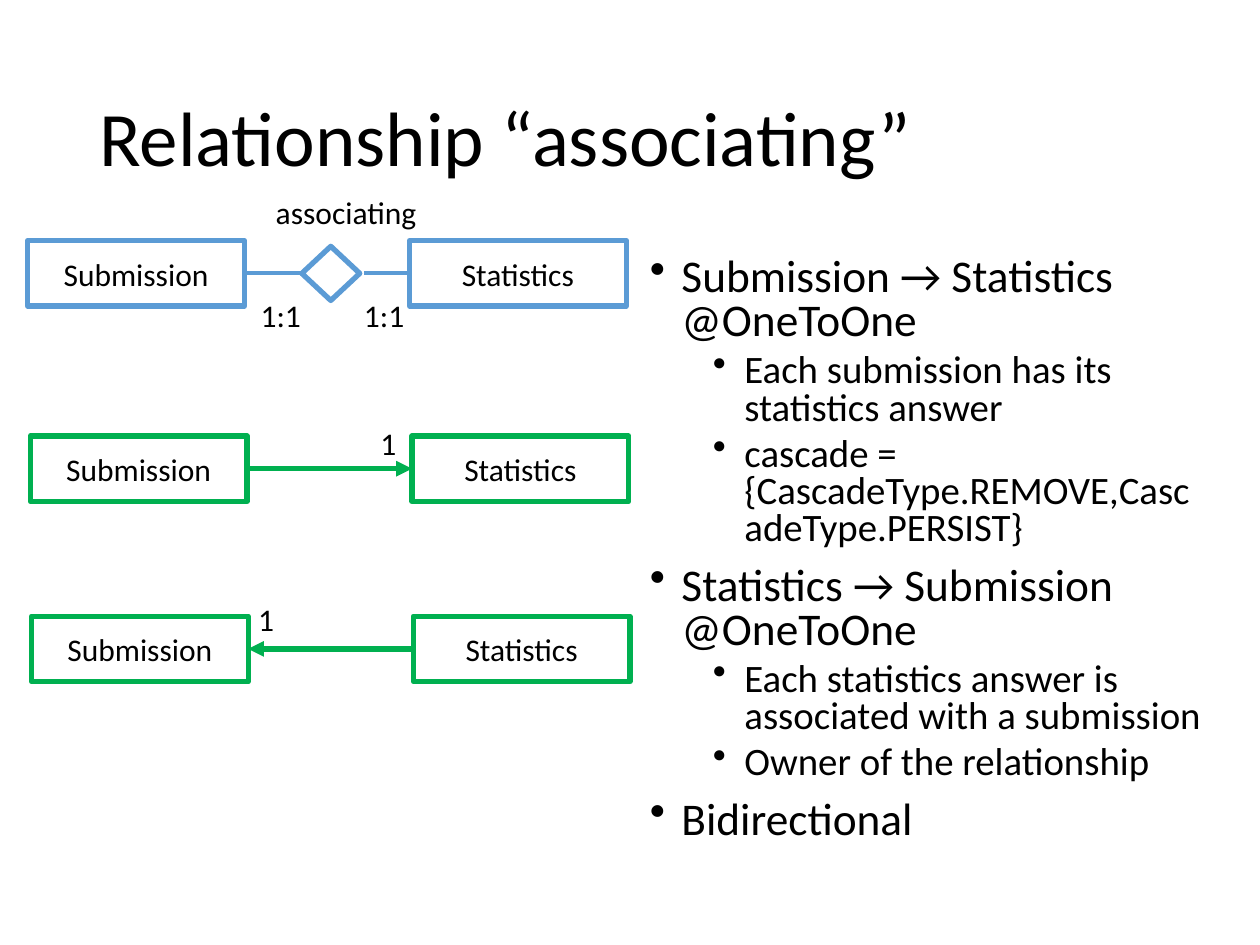
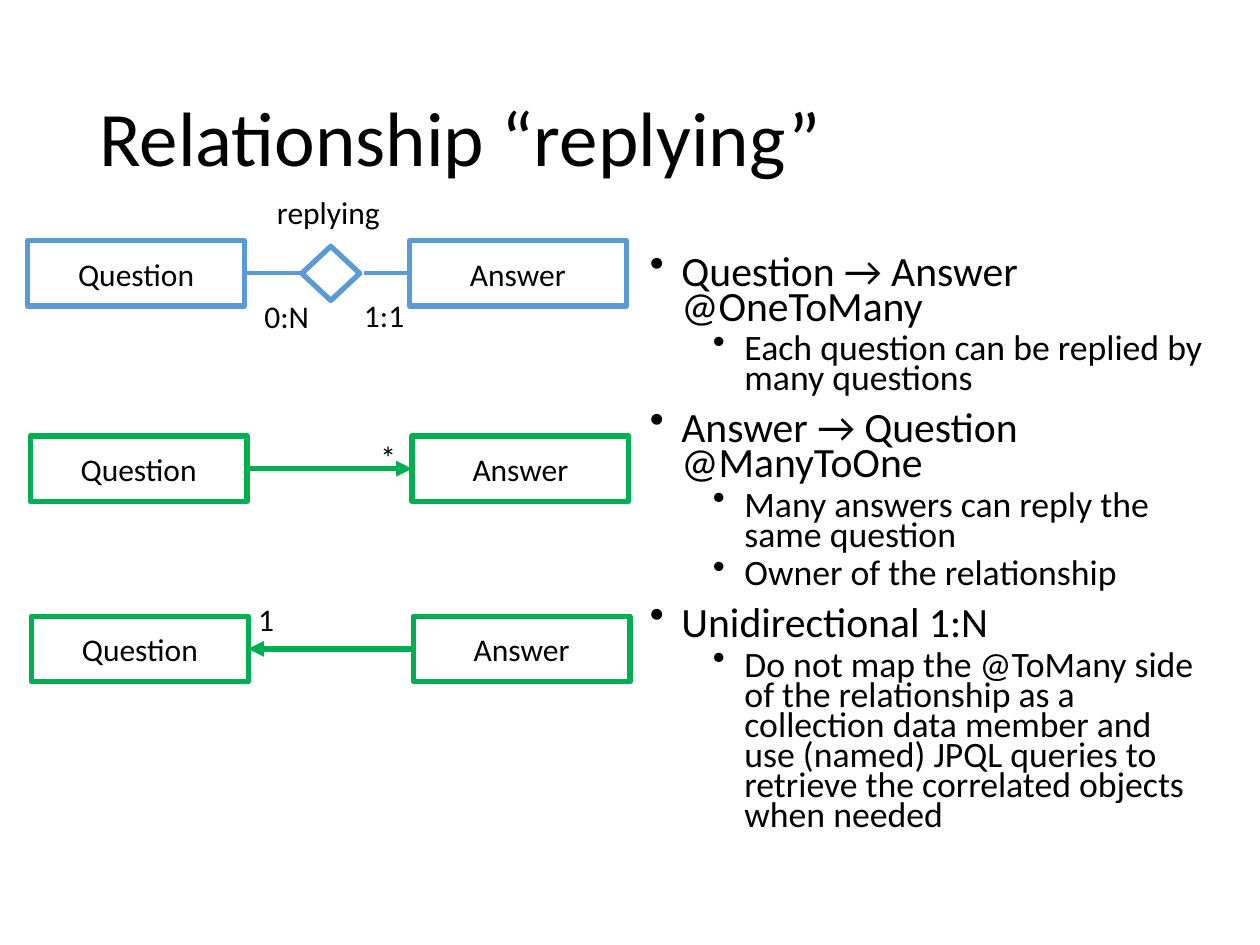
"""Build two slides that map entity relationships to annotated associations."""
from dataclasses import dataclass
from typing import NamedTuple

from lxml import etree
from pptx import Presentation, util as u
from pptx.dml.color import RGBColor
from pptx.enum import shapes, text
from pptx.oxml.ns import qn

CELL = 0.25
COLS, ROWS = 40, 30
FONT = "Calibri"
BLACK, WHITE, BLUE, GREEN = "000000", "FFFFFF", "5B9BD5", "00B050"
BOX_W, BOX_H, PAIR_STEP = 6.88, 2.08, 12.12
LABEL_H, LABEL_SIZE = 1.6, 18
LEVEL_SIZES = (28, 24)
LEVEL_INDENTS = (1, 3)
LEVEL_SPACING = (10, 5)


class Area(NamedTuple):
    """A rectangle in grid columns and rows."""
    x: float
    y: float
    w: float
    h: float


class Label(NamedTuple):
    """A short text with its place and width on the grid."""
    words: str
    x: float
    y: float
    w: float


class Bullet(NamedTuple):
    """A bullet and its outline level."""
    words: str
    level: int = 0


@dataclass
class Relationship:
    """What one slide says about two entities."""
    title: str
    source: str
    target: str
    labels: list[Label]
    bullets: list[Bullet]
    scale: float
    spacing: float


TITLE = Area(2.76, 1.6, 34.48, 5.8)
BODY = Area(20.24, 8, 18.44, 19.04)
DIAMOND = Area(9.64, 7.76, 1.72, 1.84)
ENTITY_ROW, FORWARD_ROW, BACKWARD_ROW = (0.88, 7.64), (0.96, 13.84), (1, 19.56)
DIAMOND_LEFT, DIAMOND_RIGHT = 9.6, 11.56
TARGET_CARDINALITY = Label("1:1", 11.16, 9.2, 2.12)
BACKWARD_CARDINALITY = Label("1", 7.8, 18.84, 1.32)

RELATIONSHIPS = [
    Relationship(
        "Relationship “associating”", "Submission", "Statistics",
        [Label("associating", 8.36, 5.92, 5.32), Label("1:1", 7.88, 9.2, 2.12),
         Label("1", 11.68, 13.28, 1.32)],
        [Bullet("Submission → Statistics @OneToOne"),
         Bullet("Each submission has its statistics answer", 1),
         Bullet("cascade = {CascadeType.REMOVE,CascadeType.PERSIST}", 1),
         Bullet("Statistics → Submission @OneToOne"),
         Bullet("Each statistics answer is associated with a submission", 1),
         Bullet("Owner of the relationship", 1),
         Bullet("Bidirectional")],
        scale=0.925, spacing=0.8),
    Relationship(
        "Relationship “replying”", "Question", "Answer",
        [Label("replying", 8.4, 5.92, 4.12), Label("0:N", 8, 9.24, 2.24),
         Label("*", 11.68, 13.72, 1.32)],
        [Bullet("Question → Answer @OneToMany"),
         Bullet("Each question can be replied by many questions", 1),
         Bullet("Answer → Question @ManyToOne"),
         Bullet("Many answers can reply the same question", 1),
         Bullet("Owner of the relationship", 1),
         Bullet("Unidirectional 1:N"),
         Bullet("Do not map the @ToMany side of the relationship as a collection "
                "data member and use (named) JPQL queries to retrieve the "
                "correlated objects when needed", 1)],
        scale=0.85, spacing=0.7),
]


def grid(cells: float) -> int:
    """Turn grid cells into a length."""
    return u.Inches(round(cells * CELL, 4))


def place(area: Area) -> list[int]:
    """Turn a grid area into left, top, width and height."""
    return [grid(v) for v in area]


def color(value: str) -> RGBColor:
    """Turn a hex string into a colour."""
    return RGBColor.from_string(value)


def add_run(p, words: str, size: float) -> None:
    """Add a run in the shared font."""
    r = p.add_run()
    r.text = words
    r.font.name, r.font.size = FONT, u.Pt(size)
    r.font.color.rgb = color(BLACK)


def add_figure(s, kind, area: Area, line: str, fill: str | None = None):
    """Draw an outlined preset shape."""
    sp = s.shapes.add_shape(kind, *place(area))
    sp.shadow.inherit = False
    if fill:
        sp.fill.solid()
        sp.fill.fore_color.rgb = color(fill)
    else:
        sp.fill.background()
    sp.line.color.rgb, sp.line.width = color(line), u.Pt(3)
    return sp


def add_pair(s, row: tuple[float, float], rel: Relationship, line: str,
             fill: str | None = None) -> tuple[float, float, float]:
    """Draw both entities and return the gap's left, right and middle."""
    x, y = row
    for i, name in enumerate((rel.source, rel.target)):
        area = Area(x + i * PAIR_STEP, y, BOX_W, BOX_H)
        sp = add_figure(s, shapes.MSO_SHAPE.RECTANGLE, area, line, fill)
        tf = sp.text_frame
        tf.vertical_anchor = text.MSO_ANCHOR.MIDDLE
        p = tf.paragraphs[0]
        p.alignment = text.PP_ALIGN.CENTER
        add_run(p, name, LABEL_SIZE)
    return x + BOX_W, x + PAIR_STEP, y + BOX_H / 2


def add_link(s, start: float, end: float, y: float, line: str, width: float,
             arrow: bool = False) -> None:
    """Draw a horizontal line, with an arrowhead at its end if asked."""
    c = s.shapes.add_connector(shapes.MSO_CONNECTOR.STRAIGHT,
                               grid(start), grid(y), grid(end), grid(y))
    c.line.color.rgb, c.line.width = color(line), u.Pt(width)
    if arrow:
        etree.SubElement(c.line._get_or_add_ln(), qn("a:tailEnd"), type="triangle")
    etree.SubElement(c._element.spPr, qn("a:effectLst"))


def add_label(s, label: Label) -> None:
    """Write a short unwrapped label."""
    sp = s.shapes.add_textbox(*place(Area(label.x, label.y, label.w, LABEL_H)))
    tf = sp.text_frame
    tf.word_wrap = False
    tf.auto_size = text.MSO_AUTO_SIZE.SHAPE_TO_FIT_TEXT
    add_run(tf.paragraphs[0], label.words, LABEL_SIZE)


def add_title(s, words: str) -> None:
    """Write the slide title."""
    tf = s.shapes.add_textbox(*place(TITLE)).text_frame
    tf.word_wrap, tf.vertical_anchor = True, text.MSO_ANCHOR.MIDDLE
    p = tf.paragraphs[0]
    p.line_spacing = 0.9
    add_run(p, words, 44)


def add_bullets(s, rel: Relationship) -> None:
    """Write the outline beside the diagram."""
    tf = s.shapes.add_textbox(*place(BODY)).text_frame
    tf.word_wrap = True
    for i, (words, level) in enumerate(rel.bullets):
        p = tf.add_paragraph() if i else tf.paragraphs[0]
        p.level, p.line_spacing = level, rel.spacing
        p.space_before = u.Pt(LEVEL_SPACING[level])
        pPr = p._p.get_or_add_pPr()
        pPr.set("marL", str(grid(LEVEL_INDENTS[level])))
        pPr.set("indent", str(-grid(1)))
        etree.SubElement(pPr, qn("a:buChar"), char="•")
        add_run(p, words, round(LEVEL_SIZES[level] * rel.scale, 1))


def add_diagram(s, rel: Relationship) -> None:
    """Draw the entity relationship and its two directed associations."""
    left, right, y = add_pair(s, ENTITY_ROW, rel, BLUE, WHITE)
    sp = add_figure(s, shapes.MSO_SHAPE.DIAMOND, DIAMOND, BLUE, WHITE)
    sp.rotation = 90
    add_link(s, left, DIAMOND_LEFT, y, BLUE, 2.25)
    add_link(s, DIAMOND_RIGHT, right, y, BLUE, 2.25)
    left, right, y = add_pair(s, FORWARD_ROW, rel, GREEN)
    add_link(s, left, right, y, GREEN, 3, arrow=True)
    left, right, y = add_pair(s, BACKWARD_ROW, rel, GREEN)
    add_link(s, right, left, y, GREEN, 3, arrow=True)
    for label in (*rel.labels, TARGET_CARDINALITY, BACKWARD_CARDINALITY):
        add_label(s, label)


def main() -> None:
    """Build and save the slides."""
    prs = Presentation()
    prs.slide_width, prs.slide_height = grid(COLS), grid(ROWS)
    for rel in RELATIONSHIPS:
        s = prs.slides.add_slide(prs.slide_layouts[6])
        add_title(s, rel.title)
        add_diagram(s, rel)
        add_bullets(s, rel)
    prs.save("out.pptx")


if __name__ == "__main__":
    main()
